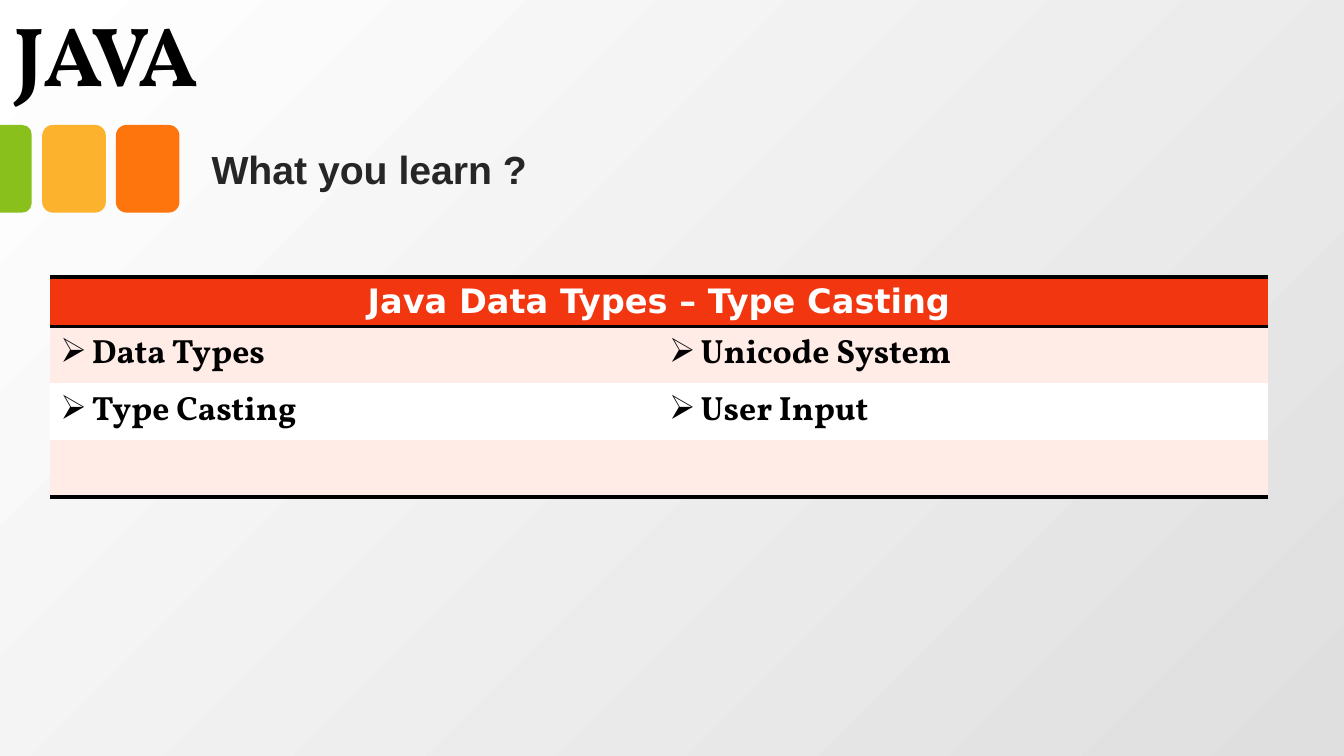
from dataclasses import dataclass

from lxml.etree import SubElement
from pptx import Presentation
from pptx.dml.color import RGBColor
from pptx.enum.shapes import MSO_SHAPE
from pptx.enum.text import MSO_ANCHOR, MSO_AUTO_SIZE, PP_ALIGN
from pptx.oxml import parse_xml
from pptx.oxml.ns import qn
from pptx.util import Pt

NS = "http://schemas.openxmlformats.org/drawingml/2006/main"


@dataclass(frozen=True)
class Theme:
    black: str = "000000"
    white: str = "FFFFFF"
    grey: str = "DFDFDF"
    heading: str = "262626"
    green: str = "89C01C"
    amber: str = "FCB22C"
    orange: str = "FE750E"
    header: str = "F23610"
    band: str = "FFECE7"
    title_size: int = 60
    heading_size: int = 28
    table_size: int = 24
    title_font: str = "Vollkorn"
    heading_font: str = "Arial"
    header_font: str = "DejaVu Sans"


class SlideBuilder:
    def __init__(self, slide, theme):
        self.slide = slide
        self.theme = theme

    def background(self, start, end):
        fill = self.slide.background.fill
        fill.gradient()
        fill.gradient_angle = 315
        for stop, color, position in zip(fill.gradient_stops, (start, end), (0, 1)):
            stop.color.rgb = RGBColor.from_string(color)
            stop.position = position

    def add_text(self, p, text, font, size, color):
        r = p.add_run()
        r.text = text
        for name, value in {"name": font, "size": Pt(size), "bold": True}.items():
            setattr(r.font, name, value)
        r.font.color.rgb = RGBColor.from_string(color)

    def title(self, text, left, top, width, height):
        sp = self.slide.shapes.title
        box = {"left": left, "top": top, "width": width, "height": height}
        for name, value in box.items():
            setattr(sp, name, Pt(value))
        tf = sp.text_frame
        frame = {
            "margin_left": Pt(9.4), "margin_right": Pt(9.4),
            "margin_top": Pt(5), "margin_bottom": Pt(5),
            "vertical_anchor": MSO_ANCHOR.BOTTOM,
            "auto_size": MSO_AUTO_SIZE.NONE, "word_wrap": True,
        }
        for name, value in frame.items():
            setattr(tf, name, value)
        p = tf.paragraphs[0]
        for name, value in {"alignment": PP_ALIGN.LEFT, "line_spacing": 0.8}.items():
            setattr(p, name, value)
        t = self.theme
        self.add_text(p, text, t.title_font, t.title_size, t.black)

    def heading(self, text, left, top, width, height):
        sp = self.slide.shapes.add_textbox(Pt(left), Pt(top), Pt(width), Pt(height))
        tf = sp.text_frame
        tf.word_wrap = False
        tf.auto_size = MSO_AUTO_SIZE.SHAPE_TO_FIT_TEXT
        t = self.theme
        self.add_text(tf.paragraphs[0], text, t.heading_font, t.heading_size, t.heading)

    def tile(self, kind, color, adjustments, left, top, width, height, rotation=0):
        sp = self.slide.shapes.add_shape(kind, Pt(left), Pt(top), Pt(width), Pt(height))
        for i, value in enumerate(adjustments):
            sp.adjustments[i] = value
        sp.rotation = rotation
        sp.shadow.inherit = False
        sp.fill.solid()
        sp.fill.fore_color.rgb = RGBColor.from_string(color)
        sp.line.fill.background()

    def cell(self, cell, color, borders=()):
        cell.vertical_anchor = MSO_ANCHOR.MIDDLE
        cell.fill.solid()
        cell.fill.fore_color.rgb = RGBColor.from_string(color)
        tc_pr = cell._tc.get_or_add_tcPr()
        for i, side in enumerate(borders):
            tc_pr.insert(i, parse_xml(
                f'<a:{side} xmlns:a="{NS}" w="{Pt(3)}"><a:solidFill>'
                f'<a:srgbClr val="{self.theme.black}"/></a:solidFill></a:{side}>'))

    def bullet(self, p, char, indent):
        p_pr = p._p.get_or_add_pPr()
        p_pr.set("marL", str(Pt(indent)))
        p_pr.set("indent", str(-Pt(indent)))
        SubElement(p_pr, qn("a:buChar")).set("char", char)

    def table(self, header, rows, left, top, width, header_height, row_height):
        t = self.theme
        cols = len(rows[0])
        height = header_height + row_height * len(rows)
        table = self.slide.shapes.add_table(
            len(rows) + 1, cols, Pt(left), Pt(top), Pt(width), Pt(height)).table
        style = table._tbl.tblPr.find(qn("a:tableStyleId"))
        style.text = "{2D5ABB26-0587-4C30-8999-92F81FD0307C}"
        for i, row in enumerate(table.rows):
            row.height = Pt(row_height if i else header_height)
        for cell in table.rows[0].cells:
            self.cell(cell, t.header, ("lnT", "lnB"))
        table.cell(0, 0).merge(table.cell(0, cols - 1))
        p = table.cell(0, 0).text_frame.paragraphs[0]
        p.alignment = PP_ALIGN.CENTER
        self.add_text(p, header, t.header_font, t.table_size, t.white)
        for i, row in enumerate(rows, 1):
            for j, text in enumerate(row):
                cell = table.cell(i, j)
                borders = ("lnB",) if i == len(rows) else ()
                self.cell(cell, t.band if i % 2 else t.white, borders)
                if text:
                    p = cell.text_frame.paragraphs[0]
                    self.bullet(p, "➢", 22.5)
                    self.add_text(p, text, t.title_font, t.table_size, t.black)


def main():
    prs = Presentation()
    prs.slide_width, prs.slide_height = Pt(960), Pt(540)
    theme = Theme()
    s = SlideBuilder(prs.slides.add_slide(prs.slide_layouts[5]), theme)
    s.background(theme.white, theme.grey)
    for i, color in enumerate((theme.amber, theme.orange)):
        s.tile(MSO_SHAPE.ROUNDED_RECTANGLE, color, (0.167,),
               30.2 + 52.6 * i, 89.3, 45.4, 62.6)
    s.tile(MSO_SHAPE.ROUND_2_SAME_RECTANGLE, theme.green, (0.292, 0),
           -20, 109.3, 62.6, 22.6, 90)
    s.title("JAVA", 0.7, 12.2, 820.8, 66.2)
    s.table("Java Data Types – Type Casting",
            (("Data Types", "Unicode System"), ("Type Casting", "User Input"), ("", "")),
            36, 198, 869.4, 35, 40.6)
    s.heading("What you learn ?", 144, 100.1, 250.6, 41)
    prs.save("out.pptx")


if __name__ == "__main__":
    main()
